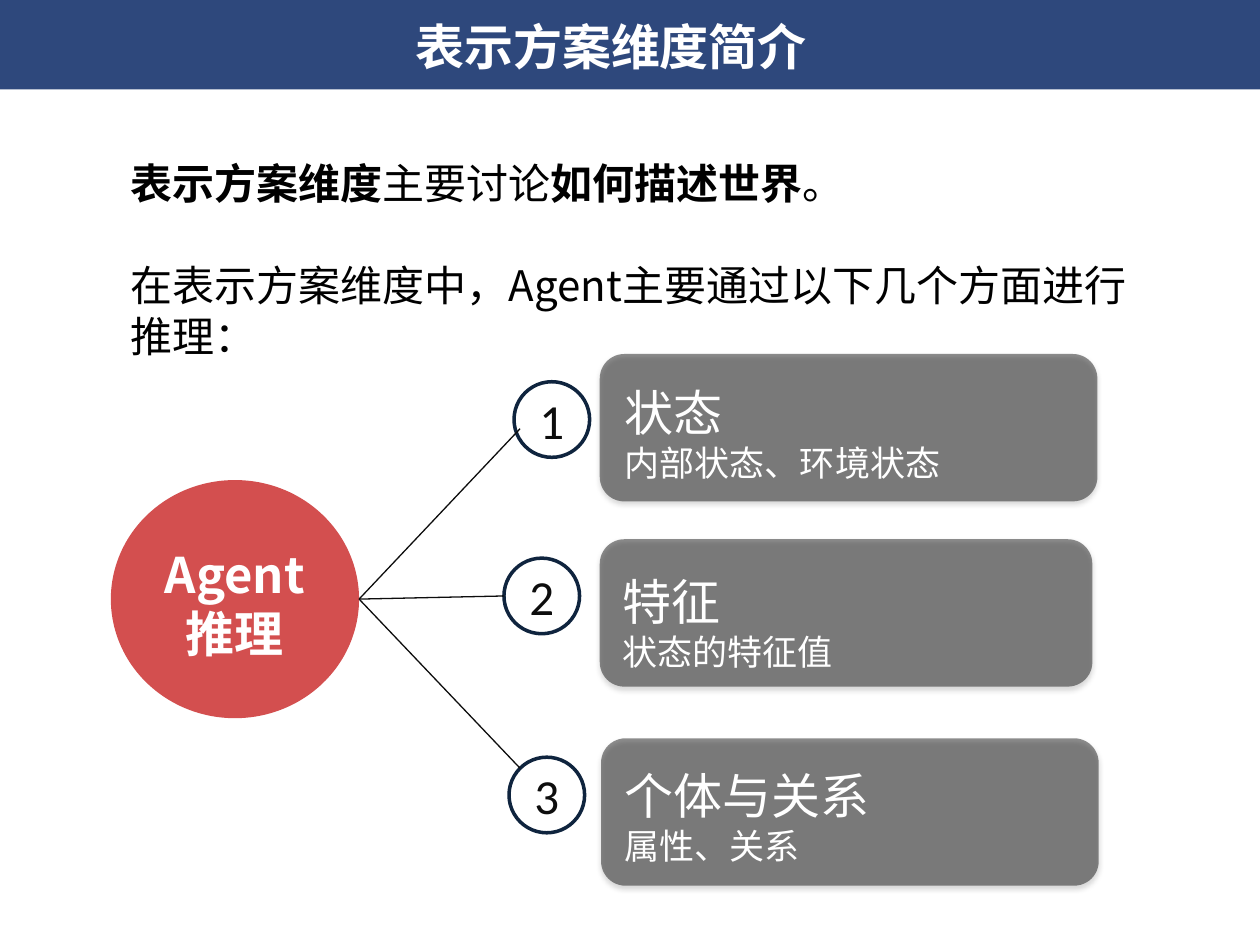
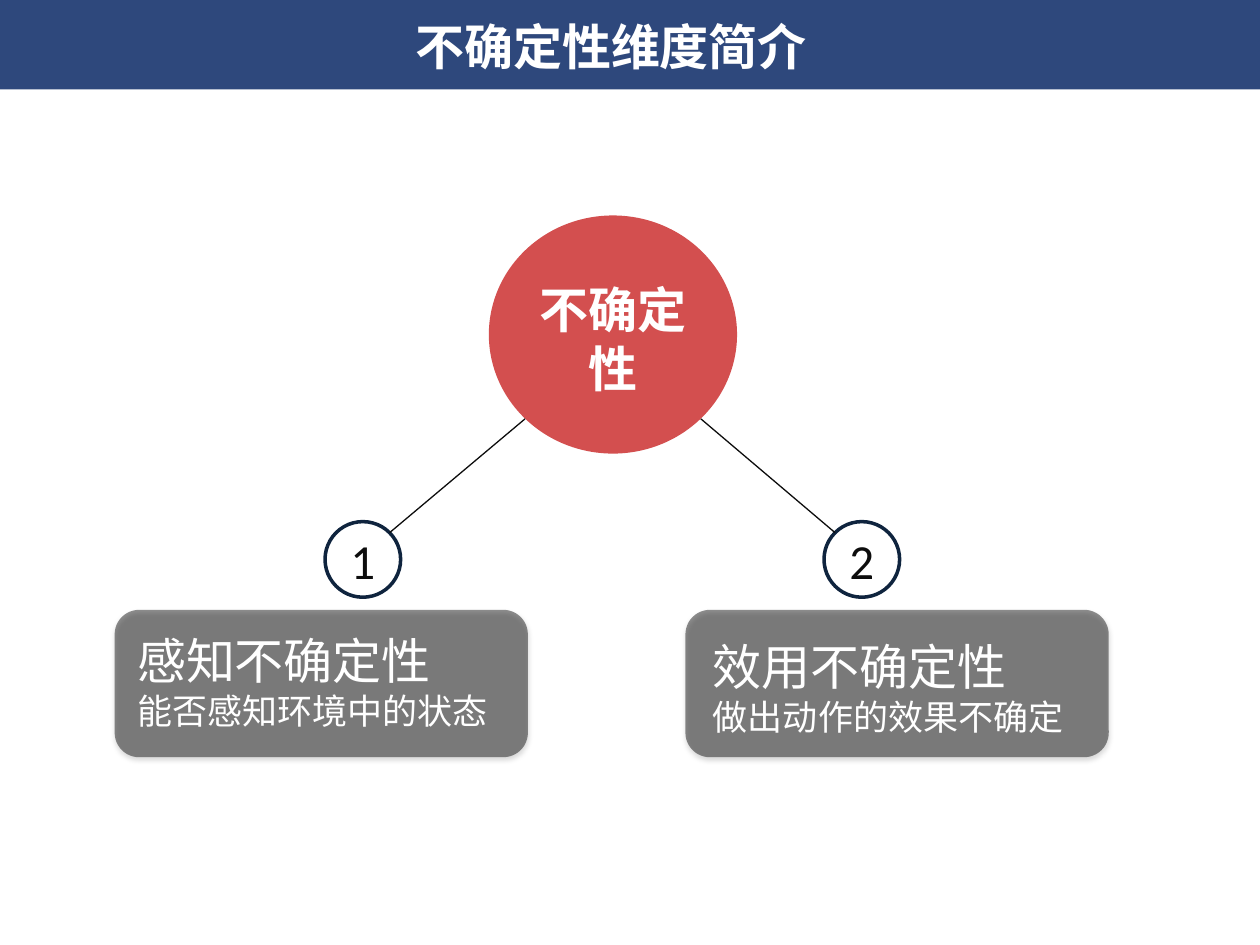
"""Build two slides that introduce the representation and uncertainty dimensions."""
from lxml import etree
from pptx import Presentation, util as u
from pptx.dml.color import RGBColor
from pptx.enum import shapes, text
from pptx.oxml import ns

NAVY = RGBColor(0x00, 0x20, 0x60)
RED = RGBColor(0xC0, 0x00, 0x00)
INK = RGBColor(0x0D, 0x0D, 0x0D)
RING = RGBColor(0x0F, 0x24, 0x3E)
BLACK = RGBColor(0x00, 0x00, 0x00)
WHITE = RGBColor(0xFF, 0xFF, 0xFF)
HAN, LATIN = "Noto Sans CJK SC", "Calibri"

WIDTH, HEIGHT = 10, 7.5
ROOT_SIZE = (1.97, 1.89)
BADGE = 0.6
CARD_HEIGHT = 1.17
CAPTION_HEIGHT = 0.91
LINE_RATIO = 1.21
NEAR, FAR = 0.146, 0.854

SLIDES = [
    {
        "title": "表示方案维度简介",
        "intro": [
            [("表示方案维度", True), ("主要讨论", False), ("如何描述世界", True), ("。", False)],
            [("在表示方案维度中，Agent主要通过以下几个方面进行推理：", False)],
        ],
        "root": ("Agent推理", (0.88, 3.81)),
        "branches": [
            {"heading": "状态", "detail": "内部状态、环境状态", "badge": (4.08, 3.03),
             "leaves": (1, 0.5), "meets": (0.08, 0.62),
             "card": (4.76, 2.81, 3.95), "caption": (4.86, 2.95)},
            {"heading": "特征", "detail": "状态的特征值", "badge": (4, 4.43),
             "leaves": (1, 0.5), "meets": (0, 0.5),
             "card": (4.76, 4.28, 3.91), "caption": (4.84, 4.45)},
            {"heading": "个体与关系", "detail": "属性、关系", "badge": (4.04, 6.01),
             "leaves": (1, 0.5), "meets": (NEAR, NEAR),
             "card": (4.77, 5.86, 3.95), "caption": (4.86, 5.99)},
        ],
    },
    {
        "title": "不确定性维度简介",
        "intro": [],
        "root": ("不确定性", (3.88, 1.71)),
        "branches": [
            {"heading": "感知不确定性", "detail": "能否感知环境中的状态", "badge": (2.58, 4.14),
             "leaves": (NEAR, FAR), "meets": (FAR, NEAR),
             "card": (0.91, 4.84, 3.28), "caption": (0.99, 4.92)},
            {"heading": "效用不确定性", "detail": "做出动作的效果不确定", "badge": (6.54, 4.14),
             "leaves": (FAR, FAR), "meets": (NEAR, NEAR),
             "card": (5.44, 4.84, 3.36), "caption": (5.56, 4.97)},
        ],
    },
]


def inches(*lengths):
    return [u.Inches(length) for length in lengths]


def add_node(parent, tag, **attributes):
    return etree.SubElement(parent, ns.qn(tag), attributes)


def add_outline(slide, preset, box, fill=None, opacity=100, ring=None):
    outline = slide.shapes.add_shape(preset, *inches(*box))
    outline.shadow.inherit = False
    if fill is None:
        outline.fill.background()
    else:
        outline.fill.solid()
        outline.fill.fore_color.rgb = fill
        color = outline.fill._xPr.find(".//" + ns.qn("a:srgbClr"))
        add_node(color, "a:alpha", val=str(opacity * 1000))
    if ring is None:
        outline.line.fill.background()
    else:
        outline.line.color.rgb = ring
        outline.line.width = u.Pt(2)
    return outline


def style_run(run, size, color, font=HAN, bold=False):
    run.font.size = u.Pt(size)
    run.font.color.rgb = color
    run.font.name = font
    run.font.bold = bold
    add_node(run.font._element, "a:ea", typeface=font)


def write(frame, paragraphs, sizes, color, align=text.PP_ALIGN.LEFT):
    """Fill the frame with paragraphs of (words, bold) pieces on an even line pitch."""
    frame.word_wrap = True
    frame.margin_top, frame.margin_bottom = inches(0.08, 0.02)
    for index, (pieces, size) in enumerate(zip(paragraphs, sizes)):
        paragraph = frame.add_paragraph() if index else frame.paragraphs[0]
        paragraph.alignment = align
        paragraph.line_spacing = u.Pt(round(size * LINE_RATIO))
        for words, bold in pieces:
            run = paragraph.add_run()
            run.text = words
            style_run(run, size, color, bold=bold)


def add_words(slide, box, *args, **kwargs):
    frame = slide.shapes.add_textbox(*inches(*box)).text_frame
    write(frame, *args, **kwargs)
    return frame


def add_header(slide, title):
    add_outline(slide, shapes.MSO_SHAPE.RECTANGLE, (0, -0.03, WIDTH, 0.74), NAVY, 82)
    add_words(slide, (0.67, 0.05, 8.36, 0.57), [[(title, True)]], [28], WHITE,
              align=text.PP_ALIGN.CENTER)


def add_root(slide, name, corner):
    root = add_outline(slide, shapes.MSO_SHAPE.OVAL, (*corner, *ROOT_SIZE), RED, 69)
    root.text_frame.vertical_anchor = text.MSO_ANCHOR.MIDDLE
    write(root.text_frame, [[(name, True)]], [28], WHITE, text.PP_ALIGN.CENTER)


def add_badge(slide, number, corner):
    badge = add_outline(slide, shapes.MSO_SHAPE.OVAL, (*corner, BADGE, BADGE), ring=RING)
    badge.text_frame.text = str(number)
    badge.text_frame.vertical_anchor = text.MSO_ANCHOR.MIDDLE
    paragraph = badge.text_frame.paragraphs[0]
    paragraph.alignment = text.PP_ALIGN.CENTER
    style_run(paragraph.runs[0], 28, INK, LATIN)


def point_on(corner, size, share):
    return [start + length * part for start, length, part in zip(corner, size, share)]


def add_link(slide, start, end):
    link = slide.shapes.add_connector(shapes.MSO_CONNECTOR.STRAIGHT, *inches(*start, *end))
    link.line.color.rgb = INK
    link.line.width = u.Pt(0.75)
    add_node(link._element.spPr, "a:effectLst")


def add_card(slide, left, top, width):
    card = add_outline(slide, shapes.MSO_SHAPE.ROUNDED_RECTANGLE,
                       (left, top, width, CARD_HEIGHT), BLACK, 44)
    effects = card._element.spPr.find(ns.qn("a:effectLst"))
    shadow = add_node(effects, "a:outerShdw", blurRad=str(u.Pt(3.1)), dist=str(u.Pt(1.8)),
                      dir="5400000", rotWithShape="0")
    add_node(add_node(shadow, "a:srgbClr", val=str(BLACK)), "a:alpha", val="35000")


def add_tree(slide, root, branches):
    name, root_corner = root
    add_root(slide, name, root_corner)
    for number, branch in enumerate(branches, 1):
        add_badge(slide, number, branch["badge"])
        add_link(slide, point_on(root_corner, ROOT_SIZE, branch["leaves"]),
                 point_on(branch["badge"], (BADGE, BADGE), branch["meets"]))
        add_card(slide, *branch["card"])
        add_words(slide, (*branch["caption"], branch["card"][2], CAPTION_HEIGHT),
                  [[(branch["heading"], False)], [(branch["detail"], False)]],
                  [28, 20], WHITE)


def main():
    deck = Presentation()
    deck.slide_width, deck.slide_height = inches(WIDTH, HEIGHT)
    for content in SLIDES:
        slide = deck.slides.add_slide(deck.slide_layouts[6])
        add_header(slide, content["title"])
        if content["intro"]:
            intro = add_words(slide, (0.94, 1.17, 8.13, 1.72), content["intro"],
                              [24, 24], BLACK)
            intro.paragraphs[0].space_after = u.Pt(29)
        add_tree(slide, content["root"], content["branches"])
    deck.save("out.pptx")


if __name__ == "__main__":
    main()
